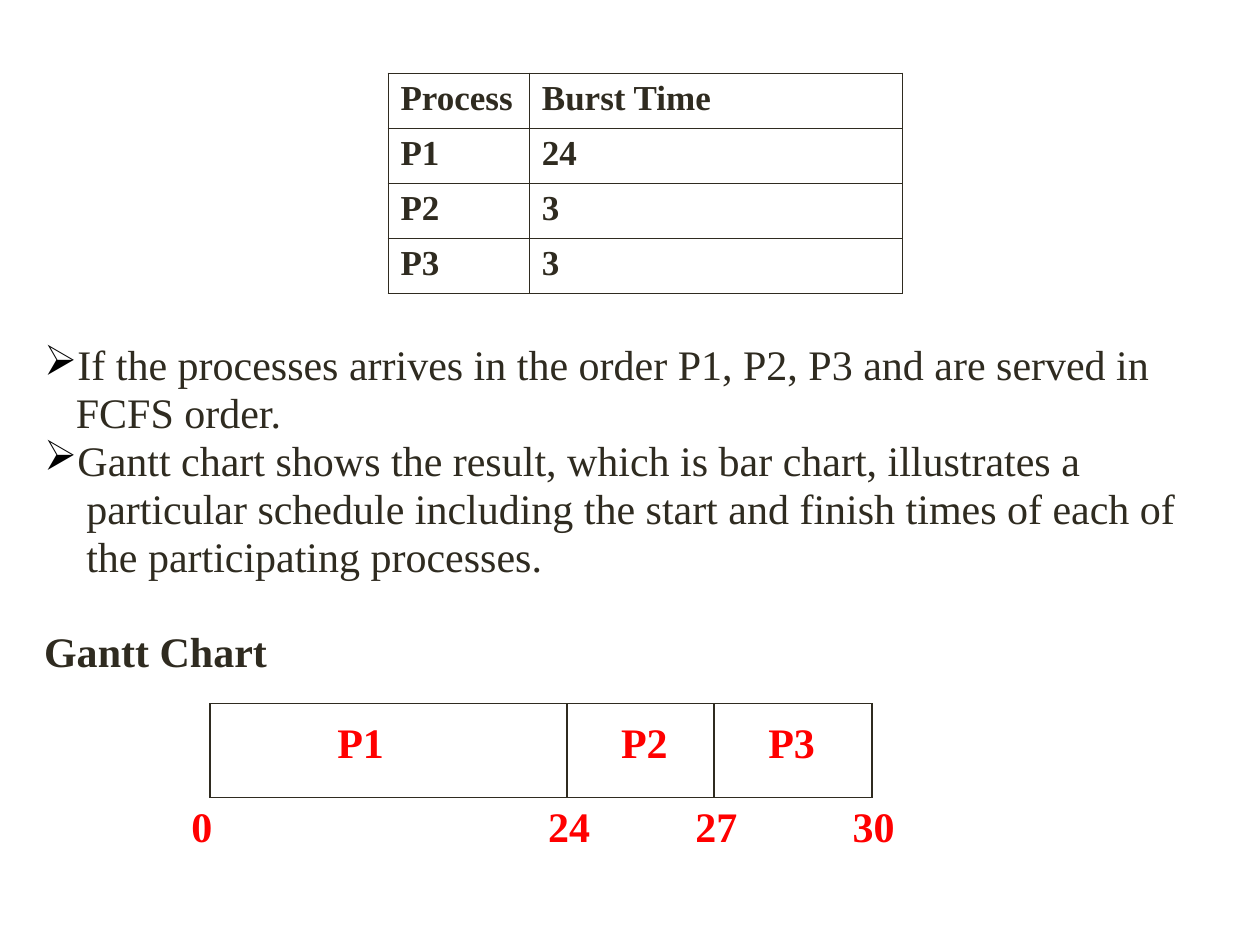
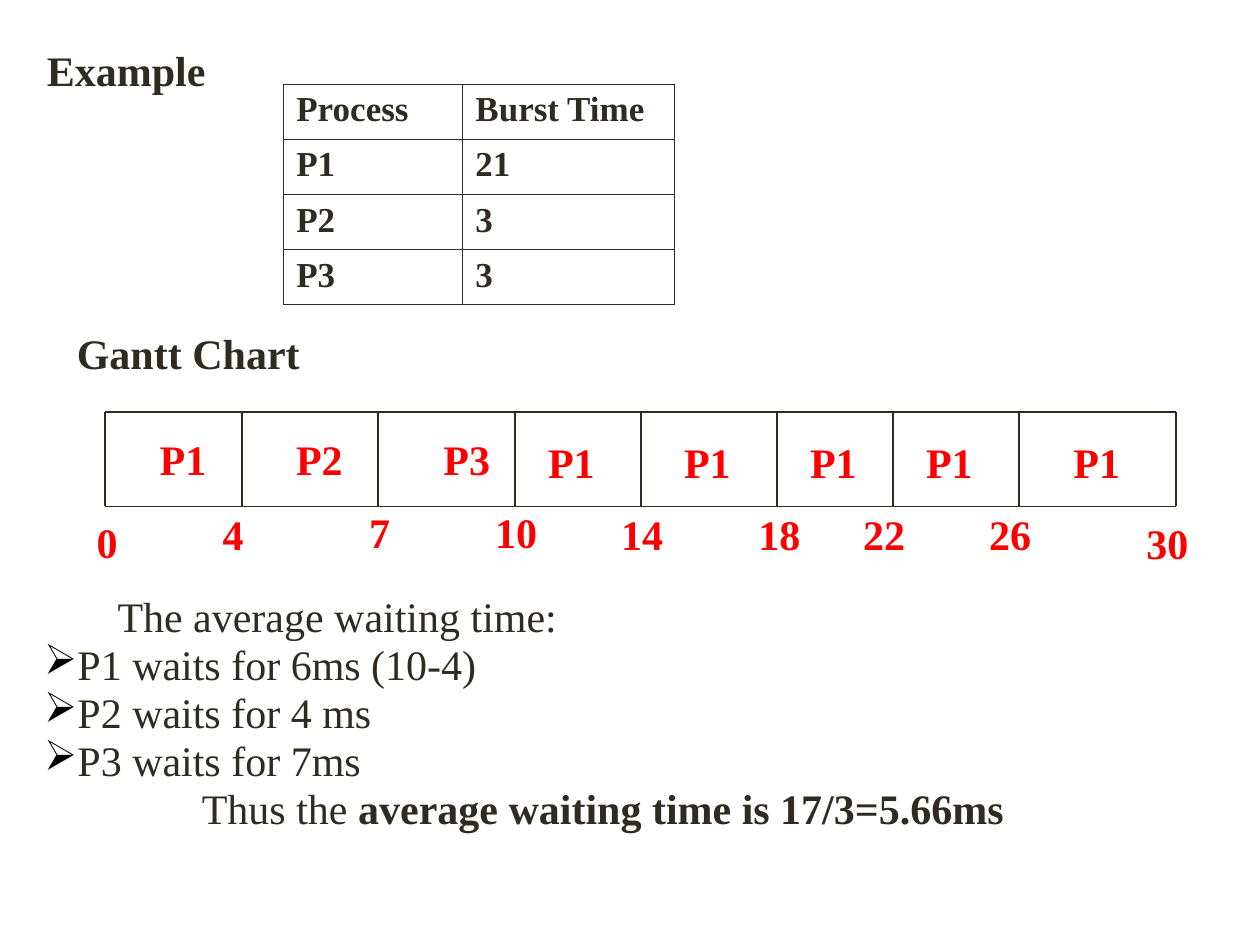
from lxml import etree
from pptx import Presentation, util as u
from pptx.dml.color import RGBColor
from pptx.enum import shapes, text
from pptx.oxml import ns

COLOURS = {"ink": "2F2B20", "mark": "FF0000", "bullet": "000000"}
FONT = "Times New Roman"
BAR_HEIGHT = 1.9
ROW_HEIGHT = 1.11


def write_text(frame, lines, colour="ink", size=24, spacing=0.95):
    """Fill a frame from (bulleted, indent in cm, points before, [(words, bold)])."""
    frame.word_wrap = True
    frame.vertical_anchor = text.MSO_ANCHOR.TOP
    for index, (bulleted, indent, before, spans) in enumerate(lines):
        para = frame.add_paragraph() if index else frame.paragraphs[0]
        properties = para._p.get_or_add_pPr()
        properties.set("marL", str(u.Cm(indent)))
        properties.set("indent", "0")
        if bulleted:
            tint = etree.SubElement(properties, ns.qn("a:buClr"))
            etree.SubElement(tint, ns.qn("a:srgbClr"), val=COLOURS["bullet"])
            etree.SubElement(properties, ns.qn("a:buChar"), char="➢")
        para.alignment = text.PP_ALIGN.LEFT
        para.line_spacing = spacing
        para.space_before = u.Pt(before)
        for words, bold in spans:
            span = para.add_run()
            span.text = words
            span.font.name = FONT
            span.font.size = u.Pt(size)
            span.font.bold = bold
            span.font.color.rgb = RGBColor.from_string(COLOURS[colour])


def draw_line(page, x1, y1, x2, y2):
    line = page.shapes.add_connector(
        shapes.MSO_CONNECTOR.STRAIGHT, u.Cm(x1), u.Cm(y1), u.Cm(x2), u.Cm(y2))
    line.line.color.rgb = RGBColor.from_string(COLOURS["ink"])
    line.line.width = u.Pt(1)
    etree.SubElement(line._element.spPr, ns.qn("a:effectLst"))


fcfs = {
    "title": None,
    "table": (7.82, 1.47, (2.85, 7.52)),
    "bursts": ("24", "3", "3"),
    "bar_top": 14.18,
    "edges": (4.24, 11.43, 14.4, 17.58),
    # words, left, top
    "labels": [("P1", 6.55, 14.4), ("P2", 12.27, 14.4), ("P3", 15.24, 14.4)],
    "times": [("0", 3.61, 16.08), ("24", 10.8, 16.08), ("27", 13.77, 16.08),
              ("30", 16.94, 16.08)],
    # left, top, width, height, lines
    "texts": [(0.64, 6.78, 23.7, 7.01, [
        (True, 0, 0, [("If the processes arrives in the order P1, P2, P3 and are served in", False)]),
        (False, 0.64, 0, [("FCFS order.", False)]),
        (True, 0, 0, [("Gantt chart shows the result, which is bar chart, illustrates a", False)]),
        (False, 0.85, 0, [("particular schedule including the start and finish times of each of", False)]),
        (False, 0.85, 0, [("the participating processes.", False)]),
        (False, 0, 27, [("Gantt Chart", True)]),
    ])],
}
round_robin = {
    "title": "Example",
    "table": (5.72, 1.7, (3.61, 4.26)),
    "bursts": ("21", "3", "3"),
    "bar_top": 8.31,
    "edges": (2.11, 4.88, 7.62, 10.38, 12.92, 15.67, 18, 20.54, 23.71),
    "labels": [("P1", 2.97, 8.69), ("P2", 5.72, 8.69), ("P3", 8.69, 8.69),
               ("P1", 10.8, 8.74), ("P1", 13.54, 8.74), ("P1", 16.08, 8.74),
               ("P1", 18.42, 8.74), ("P1", 21.39, 8.74)],
    "times": [("0", 1.7, 10.36), ("4", 4.24, 10.21), ("7", 7.19, 10.16),
              ("10", 9.73, 10.16), ("14", 12.27, 10.21), ("18", 15.04, 10.21),
              ("22", 17.15, 10.21), ("26", 19.69, 10.21), ("30", 22.86, 10.39)],
    "texts": [
        (1.3, 6.55, 5, 1.22, [(False, 0, 0, [("Gantt Chart", True)])]),
        (0.64, 11.86, 23.7, 6.05, [
            (False, 1.48, 0, [("The average waiting time:", False)]),
            (True, 0, 0, [("P1 waits for 6ms (10-4)", False)]),
            (True, 0, 0, [("P2 waits for 4 ms", False)]),
            (True, 0, 0, [("P3 waits for 7ms", False)]),
            (False, 3.18, 0, [("Thus the ", False),
                              ("average waiting time is 17/3=5.66ms", True)]),
        ]),
    ],
}

deck = Presentation()
deck.slide_width, deck.slide_height = u.Cm(25.4), u.Cm(19.05)
title_only, blank = deck.slide_layouts[5], deck.slide_layouts[6]

for example in (fcfs, round_robin):
    page = deck.slides.add_slide(title_only if example["title"] else blank)
    if example["title"]:
        title = page.shapes.title
        title.left, title.top = u.Cm(0.69), u.Cm(0.84)
        title.width, title.height = u.Cm(5), u.Cm(1.22)
        title.text_frame.auto_size = text.MSO_AUTO_SIZE.NONE
        write_text(title.text_frame, [(False, 0, 0, [(example["title"], True)])])

    # Burst times
    left, top, widths = example["table"]
    rows = [("Process", "Burst Time"), *zip(("P1", "P2", "P3"), example["bursts"])]
    table = page.shapes.add_table(
        len(rows), len(widths), u.Cm(left), u.Cm(top),
        u.Cm(sum(widths)), u.Cm(ROW_HEIGHT * len(rows))).table
    table.first_row = table.horz_banding = False
    for column, width in zip(table.columns, widths):
        column.width = u.Cm(width)
    for row, values in zip(table.rows, rows):
        row.height = u.Cm(ROW_HEIGHT)
        for cell, value in zip(row.cells, values):
            write_text(cell.text_frame, [(False, 0, 0, [(value, True)])], size=20, spacing=1.0)
            properties = cell._tc.get_or_add_tcPr()
            for side in ("lnL", "lnR", "lnT", "lnB"):
                border = etree.SubElement(properties, ns.qn("a:" + side), w=str(u.Pt(0.45)))
                paint = etree.SubElement(border, ns.qn("a:solidFill"))
                etree.SubElement(paint, ns.qn("a:srgbClr"), val=COLOURS["ink"])
            cell.fill.background()

    # Gantt bar
    edges, bar_top = example["edges"], example["bar_top"]
    bar_bottom = bar_top + BAR_HEIGHT
    for y in (bar_top, bar_bottom):
        draw_line(page, edges[0], y, edges[-1], y)
    for x in edges:
        draw_line(page, x, bar_top, x, bar_bottom)
    for words, left, top in example["labels"] + example["times"]:
        box = page.shapes.add_textbox(u.Cm(left), u.Cm(top), u.Cm(1.7), u.Cm(1.22))
        write_text(box.text_frame, [(False, 0, 0, [(words, True)])], colour="mark")

    for left, top, width, height, lines in example["texts"]:
        box = page.shapes.add_textbox(u.Cm(left), u.Cm(top), u.Cm(width), u.Cm(height))
        write_text(box.text_frame, lines)

deck.save("out.pptx")
